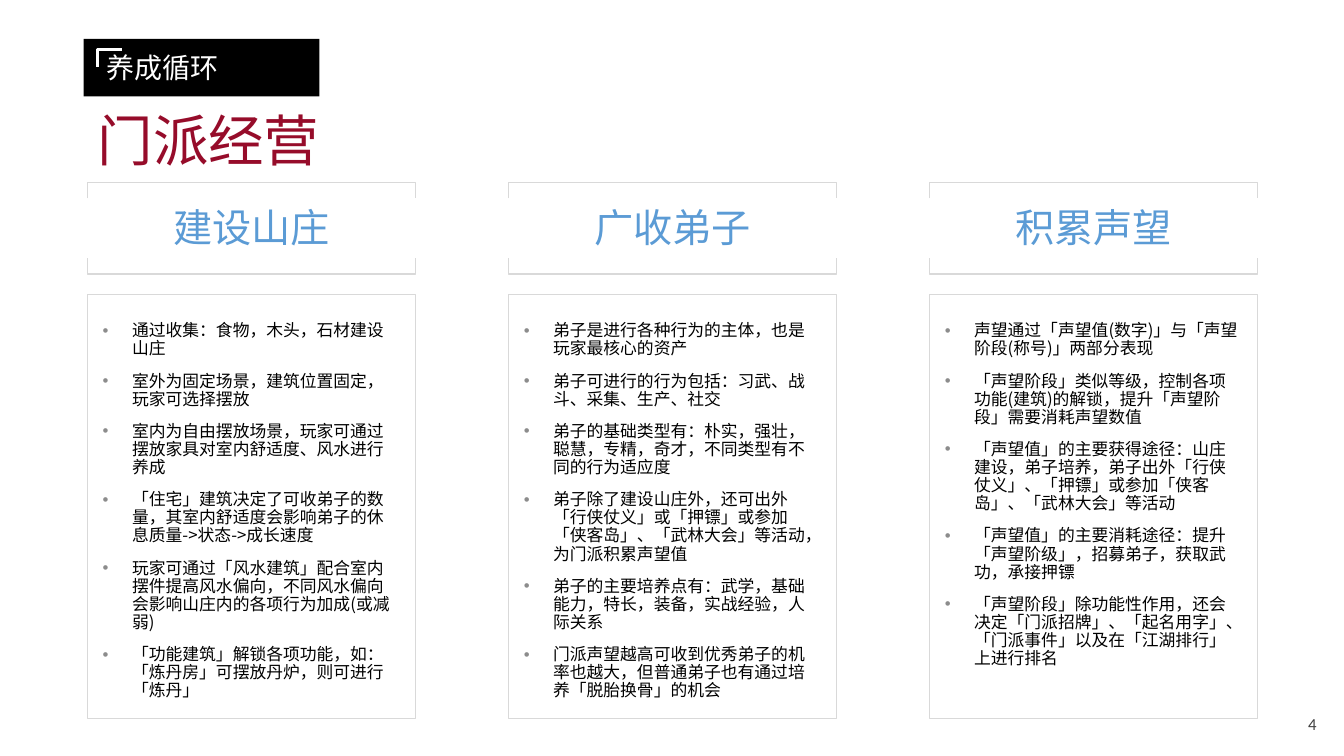
from lxml import etree
from pptx import Presentation
from pptx.dml.color import RGBColor
from pptx.enum.shapes import MSO_SHAPE
from pptx.enum.text import MSO_ANCHOR, PP_ALIGN
from pptx.oxml.ns import qn
from pptx.util import Cm, Pt

RECTANGLE = MSO_SHAPE.RECTANGLE
TOP, MIDDLE = MSO_ANCHOR.TOP, MSO_ANCHOR.MIDDLE
LEFT, CENTER, RIGHT = PP_ALIGN.LEFT, PP_ALIGN.CENTER, PP_ALIGN.RIGHT

BLACK = RGBColor(0x00, 0x00, 0x00)
WHITE = RGBColor(0xFF, 0xFF, 0xFF)
CRIMSON = RGBColor(0x96, 0x0C, 0x2A)
BLUE = RGBColor(0x5B, 0x9B, 0xD5)
DARK_GRAY = RGBColor(0x40, 0x40, 0x40)
MIDDLE_GRAY = RGBColor(0x8C, 0x8C, 0x8C)
LIGHT_GRAY = RGBColor(0xD9, 0xD9, 0xD9)

CHINESE_FONT = "Noto Sans CJK SC"
NUMBER_FONT = "Calibri"

COLUMN_LEFT, COLUMN_PITCH, COLUMN_WIDTH = 2.21, 10.61, 8.26
BRACKET_TOP, BRACKET_BOTTOM, BRACKET_ARM = 4.6, 6.91, 0.4

COLUMNS = [
    ("建设山庄", [
        "通过收集：食物，木头，石材建设山庄",
        "室外为固定场景，建筑位置固定，玩家可选择摆放",
        "室内为自由摆放场景，玩家可通过摆放家具对室内舒适度、风水进行养成",
        "「住宅」建筑决定了可收弟子的数量，其室内舒适度会影响弟子的休息质量->状态->成长速度",
        "玩家可通过「风水建筑」配合室内摆件提高风水偏向，不同风水偏向会影响山庄内的各项行为加成(或减弱)",
        "「功能建筑」解锁各项功能，如：「炼丹房」可摆放丹炉，则可进行「炼丹」",
    ]),
    ("广收弟子", [
        "弟子是进行各种行为的主体，也是玩家最核心的资产",
        "弟子可进行的行为包括：习武、战斗、采集、生产、社交",
        "弟子的基础类型有：朴实，强壮，聪慧，专精，奇才，不同类型有不同的行为适应度",
        "弟子除了建设山庄外，还可出外「行侠仗义」或「押镖」或参加「侠客岛」、「武林大会」等活动，为门派积累声望值",
        "弟子的主要培养点有：武学，基础能力，特长，装备，实战经验，人际关系",
        "门派声望越高可收到优秀弟子的机率也越大，但普通弟子也有通过培养「脱胎换骨」的机会",
    ]),
    ("积累声望", [
        "声望通过「声望值(数字)」与「声望阶段(称号)」两部分表现",
        "「声望阶段」类似等级，控制各项功能(建筑)的解锁，提升「声望阶段」需要消耗声望数值",
        "「声望值」的主要获得途径：山庄建设，弟子培养，弟子出外「行侠仗义」、「押镖」或参加「侠客岛」、「武林大会」等活动",
        "「声望值」的主要消耗途径：提升「声望阶级」，招募弟子，获取武功，承接押镖",
        "「声望阶段」除功能性作用，还会决定「门派招牌」、「起名用字」、「门派事件」以及在「江湖排行」上进行排名",
    ]),
]


def set_font(paragraph, size, color, name=CHINESE_FONT):
    """Set size, colour and both Latin and East Asian typefaces."""
    font = paragraph.font
    font.size = Pt(size)
    font.color.rgb = color
    font.name = name
    properties = paragraph._p.pPr.find(qn("a:defRPr"))
    etree.SubElement(properties, qn("a:ea"), typeface=name)


def set_frame(frame, anchor, horizontal=0.25, top=0.13, bottom=0.13):
    """Set wrapping, anchor and margins in centimetres."""
    frame.word_wrap = True
    frame.vertical_anchor = anchor
    frame.margin_left = frame.margin_right = Cm(horizontal)
    frame.margin_top, frame.margin_bottom = Cm(top), Cm(bottom)


def add_label(slide, text, box, size, color, align=LEFT, name=CHINESE_FONT):
    """Add a one-line text box centred vertically."""
    shape = slide.shapes.add_textbox(*map(Cm, box))
    set_frame(shape.text_frame, MIDDLE)
    paragraph = shape.text_frame.paragraphs[0]
    paragraph.text = text
    paragraph.alignment = align
    paragraph.line_spacing = 0.9
    set_font(paragraph, size, color, name)


def add_rectangle(slide, box):
    """Add a plain rectangle without shadow, fill or line."""
    shape = slide.shapes.add_shape(RECTANGLE, *map(Cm, box))
    shape.shadow.inherit = False
    shape.fill.background()
    shape.line.fill.background()
    return shape


def add_open_line(slide, points, color, width):
    """Add an open outline through points in centimetres."""
    start, *others = [(Cm(x), Cm(y)) for x, y in points]
    builder = slide.shapes.build_freeform(*start)
    builder.add_line_segments(others, close=False)
    shape = builder.convert_to_shape()
    shape.shadow.inherit = False
    shape.fill.background()
    shape.line.color.rgb = color
    shape.line.width = Pt(width)


def add_bullet(paragraph):
    """Give a paragraph a hanging grey bullet."""
    properties = paragraph._p.get_or_add_pPr()
    properties.set("marL", str(Cm(0.74)))
    properties.set("indent", str(-Cm(0.74)))
    bullet_color = etree.SubElement(properties, qn("a:buClr"))
    etree.SubElement(bullet_color, qn("a:srgbClr"), val=str(MIDDLE_GRAY))
    etree.SubElement(properties, qn("a:buFont"), typeface="Arial")
    etree.SubElement(properties, qn("a:buChar"), char="•")


def add_bullet_panel(slide, items, box):
    """Add an outlined panel with a bulleted list."""
    panel = add_rectangle(slide, box)
    panel.line.color.rgb = LIGHT_GRAY
    panel.line.width = Pt(0.75)
    frame = panel.text_frame
    set_frame(frame, TOP, horizontal=0.38, top=0.71)
    for index, item in enumerate(items):
        paragraph = frame.add_paragraph() if index else frame.paragraphs[0]
        paragraph.text = item
        add_bullet(paragraph)
        paragraph.alignment = LEFT
        paragraph.line_spacing = 0.9
        paragraph.space_before = Pt(10 if index else 0)
        set_font(paragraph, 12, BLACK)


def add_column(slide, left, heading, items):
    """Add a bracketed heading above its bullet panel."""
    right = left + COLUMN_WIDTH
    for edge, arm in ((BRACKET_TOP, BRACKET_ARM), (BRACKET_BOTTOM, -BRACKET_ARM)):
        points = [(left, edge + arm), (left, edge), (right, edge), (right, edge + arm)]
        add_open_line(slide, points, LIGHT_GRAY, 1)
    add_label(slide, heading, (left, 4.78, COLUMN_WIDTH, 2.01), 28, BLUE, CENTER)
    add_bullet_panel(slide, items, (left, 7.41, COLUMN_WIDTH, 10.69))


def add_section_tag(slide, text):
    """Add the black section tag with its white corner mark."""
    tag = add_rectangle(slide, (2.11, 0.98, 5.94, 1.45))
    tag.fill.solid()
    tag.fill.fore_color.rgb = BLACK
    set_frame(tag.text_frame, MIDDLE, horizontal=0.58)
    paragraph = tag.text_frame.paragraphs[0]
    paragraph.text = text
    paragraph.alignment = LEFT
    set_font(paragraph, 20, WHITE)
    add_open_line(slide, [(3.07, 1.24), (2.46, 1.24), (2.46, 1.7)], WHITE, 2)


def main():
    """Build and save the slide."""
    presentation = Presentation()
    presentation.slide_width, presentation.slide_height = Cm(33.87), Cm(19.05)
    slide = presentation.slides.add_slide(presentation.slide_layouts[6])
    add_label(slide, "门派经营", (2.21, 2.72, 8.15, 1.78), 39.6, CRIMSON)
    for index, (heading, items) in enumerate(COLUMNS):
        add_column(slide, COLUMN_LEFT + index * COLUMN_PITCH, heading, items)
    add_label(slide, "4", (25.81, 17.75, 7.62, 1.02), 12, DARK_GRAY, RIGHT, NUMBER_FONT)
    add_section_tag(slide, "养成循环")
    presentation.save("out.pptx")


if __name__ == "__main__":
    main()
